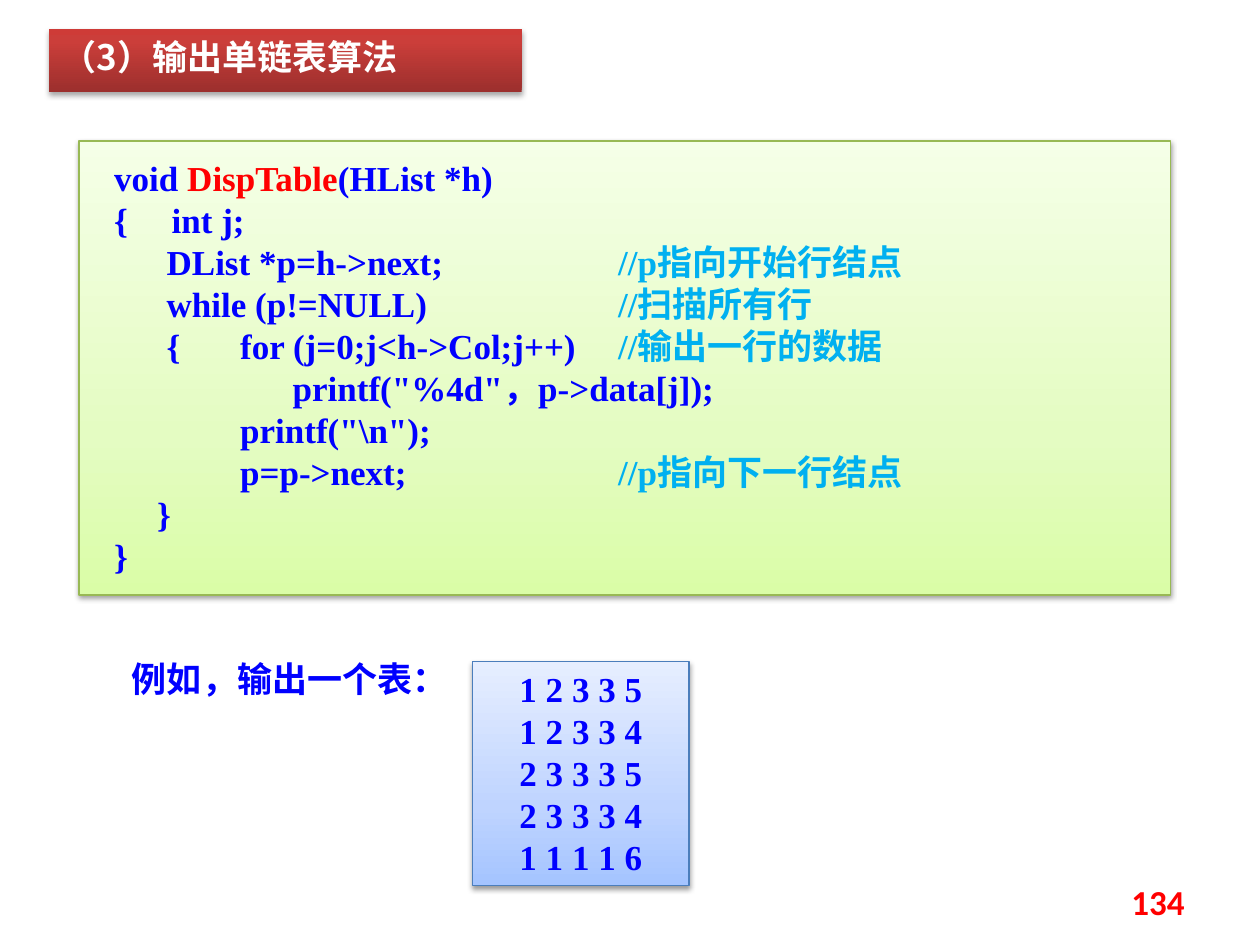
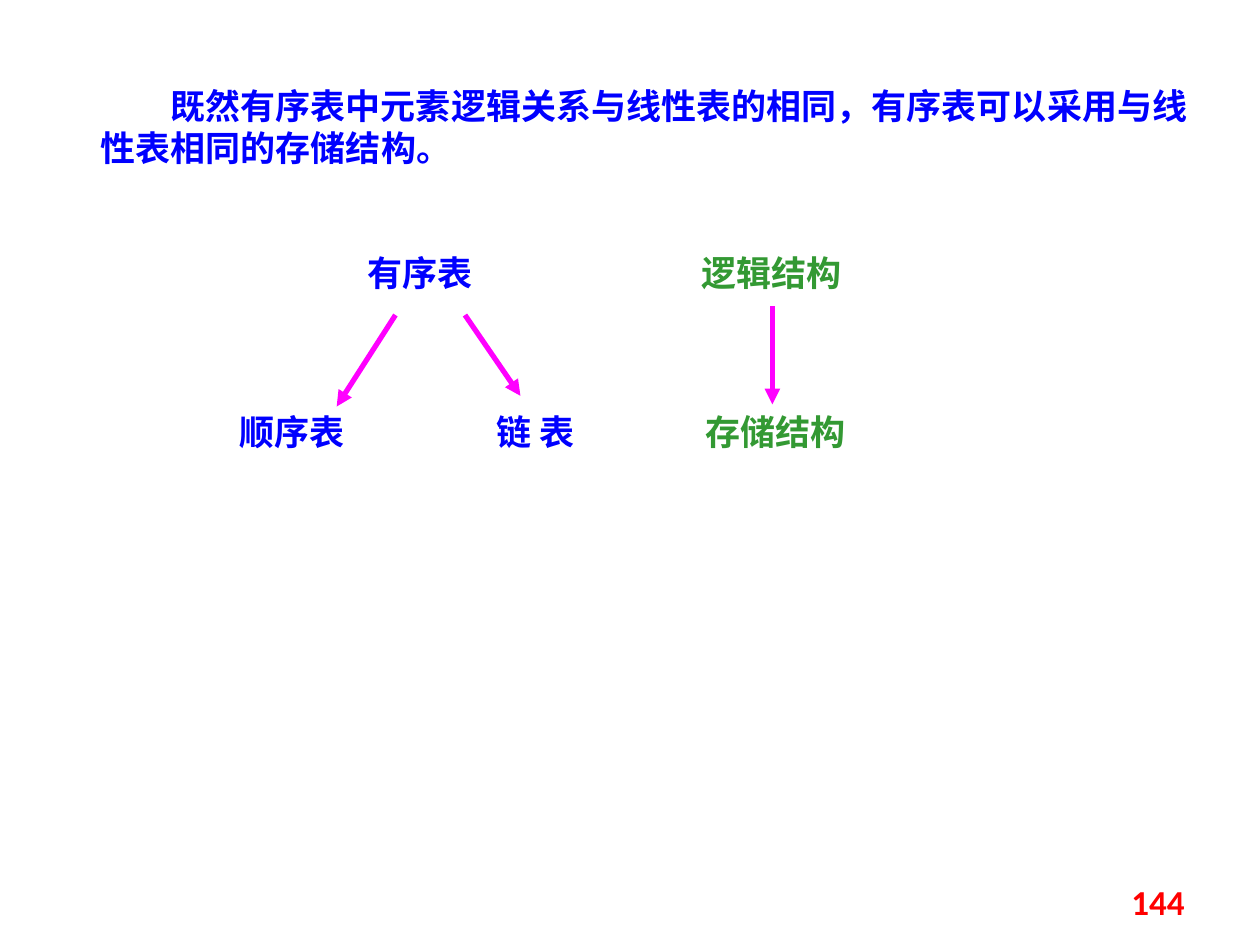
from lxml import etree
from pptx import Presentation
from pptx.dml.color import RGBColor
from pptx.enum import shapes, text
from pptx.oxml import parse_xml
from pptx.oxml.ns import nsdecls, qn
from pptx.util import Pt

BLUE = RGBColor(0x00, 0x00, 0xFF)
RED = RGBColor(0xFF, 0x00, 0x00)
SKY = RGBColor(0x00, 0xB0, 0xF0)
GREEN = RGBColor(0x33, 0x99, 0x33)
PINK = RGBColor(0xFF, 0x00, 0xFF)
WHITE = RGBColor(0xFF, 0xFF, 0xFF)
LIME = RGBColor(0x98, 0xB9, 0x55)
STEEL = RGBColor(0x4B, 0x7E, 0xBC)

# Gradient stops run from the bottom edge to the top edge
RED_FADE = [(0, "9C2F2D"), (80, "CB3E3A"), (100, "CE3B37")]
LIME_FADE = [(0, "DAFDA7"), (35, "E4FCC2"), (100, "F5FFE7")]
BLUE_FADE = [(0, "A4C4FF"), (35, "BFD4FF"), (100, "E6EEFF")]

HAN, SERIF, SANS = "Noto Sans CJK SC", "Times New Roman", "Calibri"
SIZE, LEAD, TAB = 20, 24, 72
LEFT, MID, RIGHT = (text.PP_ALIGN.LEFT, text.PP_ALIGN.CENTER,
                    text.PP_ALIGN.RIGHT)

TITLE = "（3）输出单链表算法"
CODE = [
    ["void ", ("DispTable", RED), "(HList *h)"],
    ["{     int j;"],
    ["      DList *p=h->next;\t\t", ("//p指向开始行结点", SKY)],
    ["      while (p!=NULL)\t\t", ("//扫描所有行", SKY)],
    ["      {\tfor (j=0;j<h->Col;j++)\t", ("//输出一行的数据", SKY)],
    ["\t      printf(\"%4d\"，p->data[j]);"],
    ["\tprintf(\"\\n\");"],
    ["\tp=p->next;\t\t", ("//p指向下一行结点", SKY)],
    ["　 }"],
    ["}"],
]
SAMPLE = "例如，输出一个表："
ROWS = ["1 2 3 3 5", "1 2 3 3 4", "2 3 3 3 5", "2 3 3 3 4", "1 1 1 1 6"]

INTRO = ("既然有序表中元素逻辑关系与线性表的相同，"
         "有序表可以采用与线性表相同的存储结构。")
TOP, LOW = 140.4, 231.1
LABELS = [  # text, left, top, width, colour
    ("有序表", 203, TOP, 148, BLUE),
    ("顺序表", 129.6, LOW, 119, BLUE),
    ("链 表", 276.5, LOW, 85, BLUE),
    ("逻辑结构", 393.8, TOP, 107, GREEN),
    ("存储结构", 396, LOW, 113, GREEN),
]
ARROWS = [(226, 180, 192.4, 232.3), (265.7, 180, 297.4, 226.2),
          (441.4, 175, 441.4, 231.1)]


def write(frame, lines, color=BLUE, font=SERIF, align=LEFT, lead=LEAD,
          indent=0, tabs=0, inset=(7.2, 3.6), anchor=text.MSO_ANCHOR.TOP):
    """Fill a frame; a line is a string or a list of strings and (string, colour)."""
    frame.word_wrap = True
    frame.vertical_anchor = anchor
    frame.margin_left = frame.margin_right = Pt(inset[0])
    frame.margin_top = frame.margin_bottom = Pt(inset[1])
    for i, line in enumerate(lines):
        par = frame.paragraphs[0] if i == 0 else frame.add_paragraph()
        par.alignment = align
        props = par._p.get_or_add_pPr()
        if indent:
            props.set("indent", str(Pt(indent)))
        if tabs:
            stops = etree.SubElement(props, qn("a:tabLst"))
            for n in range(1, tabs + 1):
                etree.SubElement(stops, qn("a:tab"), pos=str(Pt(n * TAB)),
                                 algn="l")
        if lead:
            par.line_spacing = Pt(lead)
        for part in [line] if isinstance(line, str) else line:
            words, tint = (part, color) if isinstance(part, str) else part
            run = par.add_run()
            run.text = words
            run.font.size, run.font.bold, run.font.name = Pt(SIZE), True, font
            run.font.color.rgb = tint
            etree.SubElement(run._r.get_or_add_rPr(), qn("a:ea"),
                             typeface=HAN)


def label(slide, box, lines, **style):
    write(slide.shapes.add_textbox(*map(Pt, box)).text_frame, lines, **style)


def panel(slide, box, lines, fade, edge=None, glow=(38, 1.6), **style):
    """Add a shadowed rectangle with a vertical gradient and text."""
    shape = slide.shapes.add_shape(shapes.MSO_SHAPE.RECTANGLE, *map(Pt, box))
    if edge is None:
        shape.line.fill.background()
    else:
        shape.line.color.rgb, shape.line.width = edge, Pt(0.75)
    shape.shadow.inherit = False
    stops = "".join(f'<a:gs pos="{pos * 1000}"><a:srgbClr val="{tint}"/></a:gs>'
                    for pos, tint in fade)
    prop = shape._element.spPr
    prop.find(qn("a:prstGeom")).addnext(parse_xml(
        f'<a:gradFill {nsdecls("a")} rotWithShape="1"><a:gsLst>{stops}</a:gsLst>'
        '<a:lin ang="16200000" scaled="0"/></a:gradFill>'))
    alpha, dist = glow
    prop.find(qn("a:effectLst")).append(parse_xml(
        f'<a:outerShdw {nsdecls("a")} blurRad="{Pt(3.1)}" dist="{Pt(dist)}" '
        'dir="5400000" rotWithShape="0"><a:srgbClr val="000000">'
        f'<a:alpha val="{alpha * 1000}"/></a:srgbClr></a:outerShdw>'))
    write(shape.text_frame, lines, **style)


def arrow(slide, ends):
    line = slide.shapes.add_connector(shapes.MSO_CONNECTOR.STRAIGHT,
                                      *map(Pt, ends))
    line.line.color.rgb, line.line.width = PINK, Pt(3)
    etree.SubElement(line.line._get_or_add_ln(), qn("a:tailEnd"),
                     type="triangle")
    etree.SubElement(line._element.spPr, qn("a:effectLst"))


def page(deck, number):
    """Add a blank slide with its red page number."""
    slide = deck.slides.add_slide(deck.slide_layouts[6])
    label(slide, (516, 500.5, 168, 28.75), [number], color=RED, font=SANS,
          align=RIGHT, lead=None, anchor=text.MSO_ANCHOR.MIDDLE)
    return slide


def main():
    deck = Presentation()
    deck.slide_width, deck.slide_height = Pt(720), Pt(540)

    slide = page(deck, "134")
    panel(slide, (28.1, 16.6, 270, 36), [TITLE], RED_FADE, glow=(35, 1.8),
          color=WHITE, font=HAN)
    panel(slide, (45.2, 80.6, 623.7, 259.4), CODE, LIME_FADE, edge=LIME,
          tabs=4, inset=(20, 8.6))
    panel(slide, (270, 378, 123.8, 128.2), ROWS, BLUE_FADE, edge=STEEL,
          align=MID)
    label(slide, (44.6, 372.2, 242, 36), [SAMPLE], font=HAN, align=MID)

    slide = page(deck, "144")
    label(slide, (50.4, 44.6, 636, 65.5), [INTRO], indent=2 * SIZE)
    for words, left, top, width, tint in LABELS:
        label(slide, (left, top, width, 36), [words], color=tint)
    for ends in ARROWS:
        arrow(slide, ends)

    deck.save("out.pptx")


if __name__ == "__main__":
    main()
